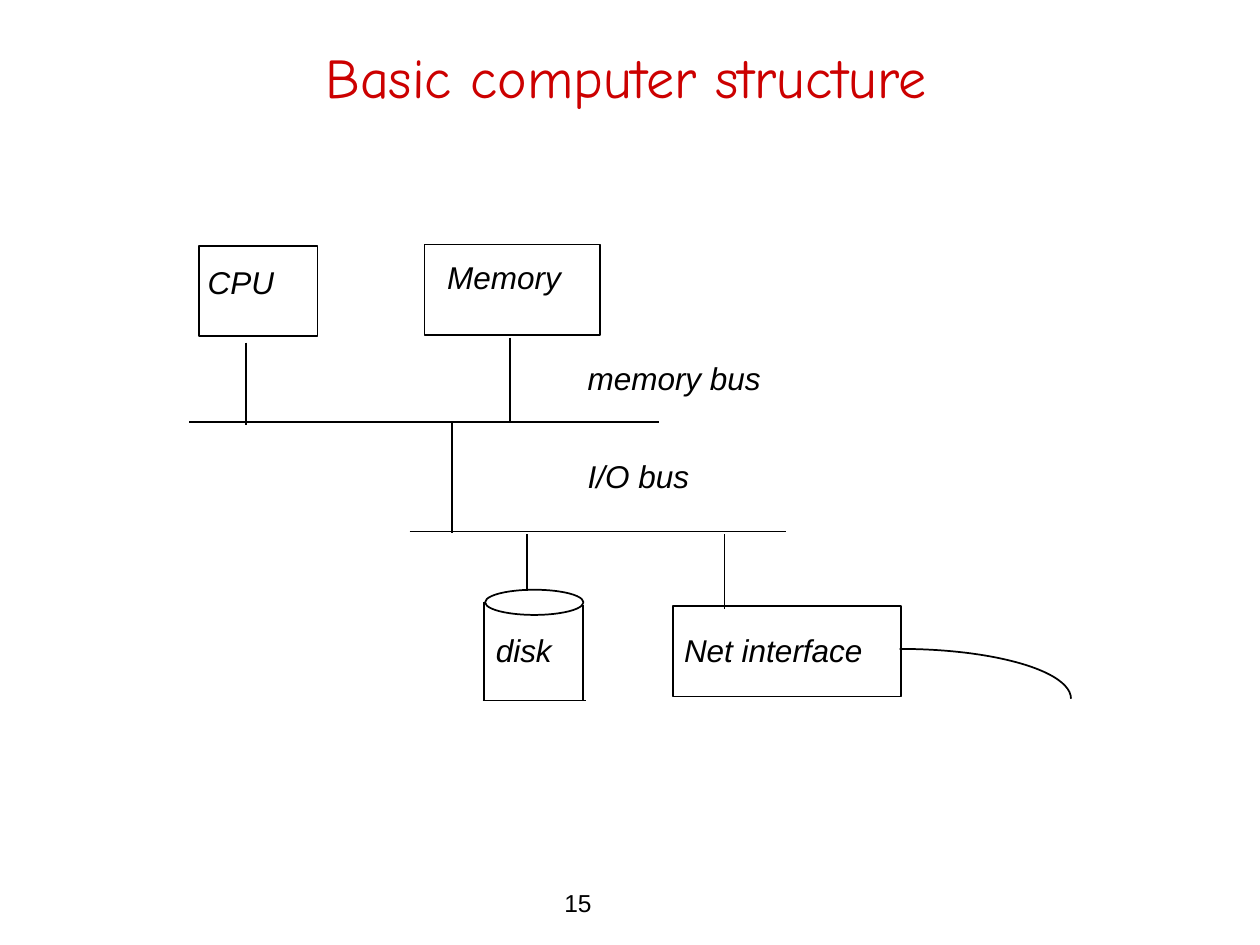
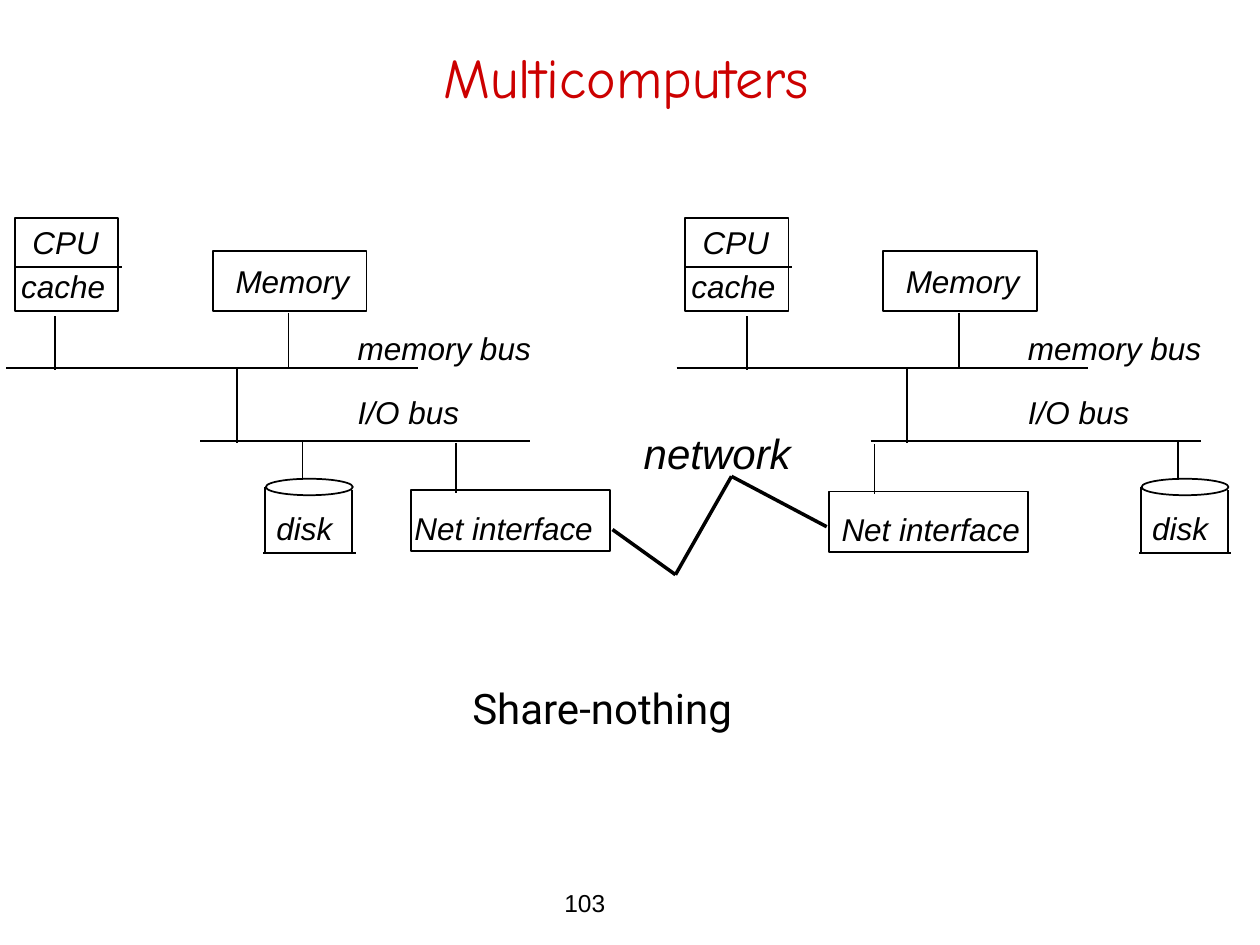
from dataclasses import dataclass
from itertools import pairwise

from lxml.etree import SubElement
from pptx import Presentation
from pptx.dml.color import RGBColor
from pptx.enum.shapes import MSO_CONNECTOR, MSO_SHAPE
from pptx.enum.text import MSO_ANCHOR, MSO_AUTO_SIZE, PP_ALIGN
from pptx.oxml.ns import qn
from pptx.util import Pt


@dataclass(frozen=True)
class Theme:
    ink: RGBColor = RGBColor(0x00, 0x00, 0x00)
    paper: RGBColor = RGBColor(0xFF, 0xFF, 0xFF)
    accent: RGBColor = RGBColor(0xCC, 0x00, 0x00)
    title_font: str = "Comic Neue"
    label_font: str = "Arial"
    note_font: str = "Roboto"
    title_size: int = 32
    large_size: int = 24
    label_size: int = 18
    number_size: int = 14
    thin: float = 1
    thick: float = 2


T = Theme()

# Width of each diagram label, with room to stay on one line; one shared height
LABEL_H = 28.8
LABEL_W = {"CPU": 55, "cache": 74, "Memory": 82, "memory bus": 116,
           "I/O bus": 75, "disk": 49, "Net interface": 119}


def add_text(s, text, x, y, w, h, size=T.label_size, font=T.label_font,
             color=T.ink, italic=False, align=PP_ALIGN.LEFT,
             anchor=MSO_ANCHOR.TOP, wrap=False):
    sp = s.shapes.add_textbox(Pt(x), Pt(y), Pt(w), Pt(h))
    tf = sp.text_frame
    tf.word_wrap = wrap
    tf.auto_size = MSO_AUTO_SIZE.NONE if wrap else MSO_AUTO_SIZE.SHAPE_TO_FIT_TEXT
    tf.vertical_anchor = anchor
    p = tf.paragraphs[0]
    p.alignment = align
    r = p.add_run()
    r.text = text
    r.font.size, r.font.name, r.font.italic = Pt(size), font, italic
    r.font.color.rgb = color


def add_label(s, text, x, y):
    add_text(s, text, x, y, LABEL_W[text], LABEL_H, italic=True)


def add_line(s, x1, y1, x2, y2, width=T.thin):
    c = s.shapes.add_connector(MSO_CONNECTOR.STRAIGHT, Pt(x1), Pt(y1), Pt(x2), Pt(y2))
    c.line.color.rgb = T.ink
    c.line.width = Pt(width)
    SubElement(c._element.spPr, qn("a:effectLst"))


def add_outline(s, kind, x, y, w, h, filled=True):
    sp = s.shapes.add_shape(kind, Pt(x), Pt(y), Pt(w), Pt(h))
    sp.shadow.inherit = False
    if filled:
        sp.fill.solid()
        sp.fill.fore_color.rgb = T.paper
    else:
        sp.fill.background()
    sp.line.color.rgb = T.ink
    sp.line.width = Pt(T.thin)


def frame(prs, title, number):
    """New slide with the shared title and slide number."""
    s = prs.slides.add_slide(prs.slide_layouts[6])
    add_text(s, number, 315.4, 504, 78.5, 24.5, size=T.number_size)
    add_text(s, title, 31.7, 12.2, 652.3, 54, size=T.title_size,
             font=T.title_font, color=T.accent, align=PP_ALIGN.CENTER,
             anchor=MSO_ANCHOR.BOTTOM, wrap=True)
    return s


def unit(s, text, x, y, w, h, dx, dy, link):
    """Boxed unit; dx, dy place its label, link is (dx, y from, y to)."""
    add_outline(s, MSO_SHAPE.RECTANGLE, x, y, w, h)
    add_label(s, text, x + dx, y + dy)
    link_dx, y1, y2 = link
    add_line(s, x + link_dx, y + y1, x + link_dx, y + y2)


def disk(s, x, y, w, h, cap, link_dx, link_h, label_dy):
    """Drum with an oval cap, hung from the I/O bus by a link."""
    add_outline(s, MSO_SHAPE.OVAL, x, y, w, cap)
    add_line(s, x + link_dx, y - link_h, x + link_dx, y + 0.7)
    for side, top in ((x - 0.5, cap / 2), (x + w - 0.3, cap / 2 + 1.7)):
        add_line(s, side, y + top, side, y + h)
    add_line(s, x - 1.4, y + h, x + w + 1.7, y + h)
    add_label(s, "disk", x - 1, y + label_dy)


def buses(s, x, y, memory_w, io_dx, io_dy, io_w, bridge_dx, label_dx, label_dys):
    """Memory bus from (x, y), I/O bus below it and the bridge between."""
    add_line(s, x, y, x + memory_w, y)
    add_line(s, x + io_dx, y + io_dy, x + io_dx + io_w, y + io_dy)
    add_line(s, x + bridge_dx, y, x + bridge_dx, y + io_dy + 1)
    for text, dy in zip(("memory bus", "I/O bus"), label_dys):
        add_label(s, text, x + label_dx, y + dy)


def single_computer(s, x, y):
    buses(s, x, y + 101.5, 268.6, 126, 62.6, 215.3, 150.5, 220.7, (-39.6, 16.6))
    unit(s, "CPU", x + 5.8, y + 0.7, 67.7, 51.8, -2.2, 6.5, (26.6, 55.4, 102.2))
    unit(s, "Memory", x + 134.6, y, 100.1, 51.8, 5.8, 4.3, (49, 53.3, 101.5))
    disk(s, x + 169.2, y + 197.3, 56.2, 63.3, 14.4, 23.8, 31.7, 20.1)
    unit(s, "Net interface", x + 276.5, y + 206.6, 130.3, 51.8, -0.7, 10.8,
         (29.5, -41, 1.5))
    # Network cable
    add_outline(s, MSO_SHAPE.ARC, x + 308.2, y + 231.1, 195.8, 56.9, filled=False)


def node(s, x, y, cpu_link, disk_dx, net_dx, net_dy, net_label_dx):
    """One multicomputer node, with a cache under its CPU."""
    buses(s, x + 3.6, y + 85.7, 235.4, 110.9, 41.8, 188.6, 131.8, 193.7, (-25.9, 10.8))
    unit(s, "CPU", x + 8.6, y, 59, 53.3, 2.9, -0.7, (cpu_link, 56.2, 87.1))
    add_label(s, "cache", x + 5, y + 24.5)
    add_line(s, x + 8.6, y + 28.1, x + 69.8, y + 28.1)
    unit(s, "Memory", x + 121.7, y + 18.7, 87.8, 34.6, 5.8, 2.9, (43.2, 35.3, 67))
    disk(s, x + disk_dx, y + 149, 49.7, 42.5, 9.4, 20.9, 20.9, 13.7)
    unit(s, "Net interface", x + net_dx, y + net_dy, 113.8, 34.6, net_label_dx, 7.2,
         (25.9, -27, 1.4))


def network(s, x, y):
    """Zigzag cable between two nodes, with its label above."""
    bends = ((0, 30), (36, 55.8), (68, -0.4), (122.4, 28.4))
    for (x1, y1), (x2, y2) in pairwise(bends):
        add_line(s, x + x1, y + y1, x + x2, y + y2, T.thick)
    add_text(s, "network", x + 10.8, y - 32.1, 102, 36, size=T.large_size, italic=True)


def main():
    prs = Presentation()
    prs.slide_width, prs.slide_height = Pt(720), Pt(540)

    s = frame(prs, "Basic computer structure", "15")
    single_computer(s, 108, 139.7)

    s = frame(prs, "Multicomputers", "103")
    node(s, 0, 124.6, cpu_link=23, disk_dx=151.9,
         net_dx=234.7, net_dy=155.5, net_label_dx=-5)
    node(s, 383, 124.6, cpu_link=35.3, disk_dx=269.3,
         net_dx=90.8, net_dy=156.2, net_label_dx=0)
    network(s, 350, 272.6)
    add_text(s, "Share-nothing", 262.8, 386.6, 175.7, 36, size=T.large_size,
             font=T.note_font)

    prs.save("out.pptx")


if __name__ == "__main__":
    main()
